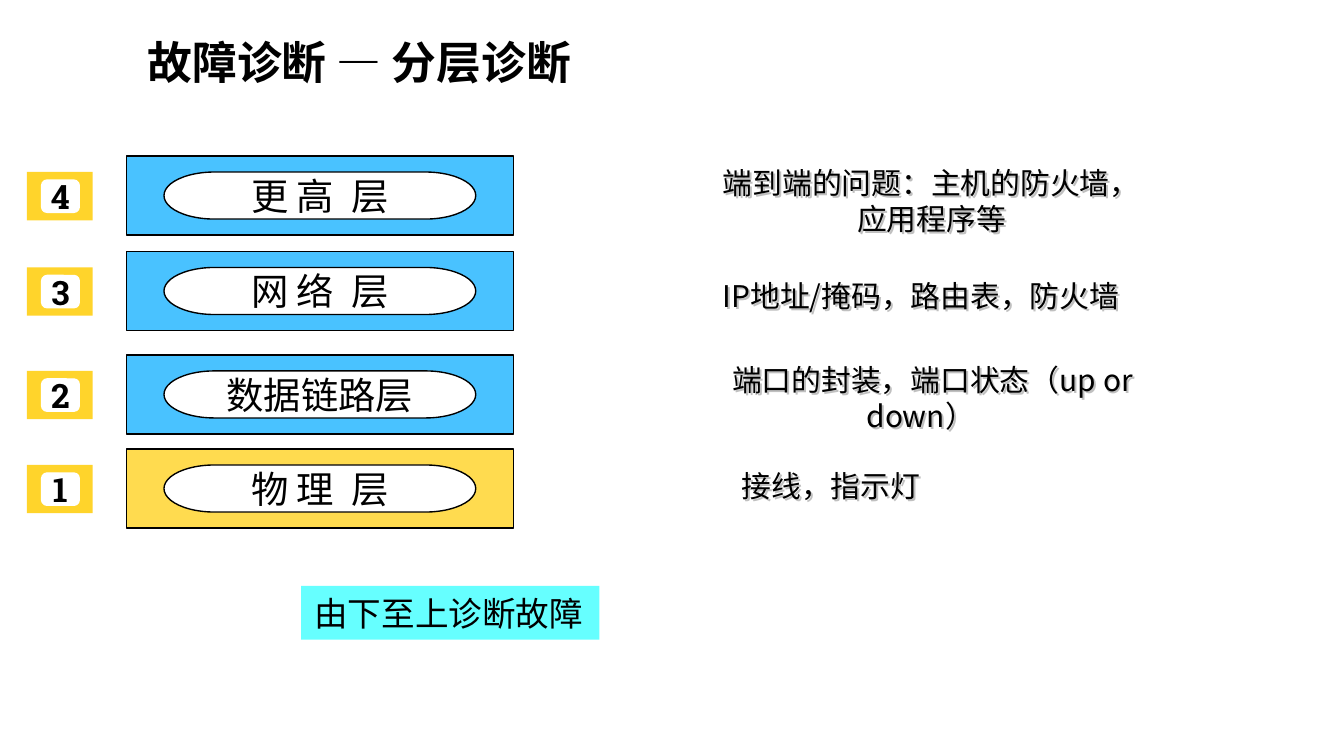
from dataclasses import dataclass
from typing import Optional

from lxml import etree
from pptx import Presentation
from pptx.dml.color import RGBColor
from pptx.enum.shapes import MSO_SHAPE as SHAPE
from pptx.enum.text import MSO_ANCHOR as ANCHOR, MSO_AUTO_SIZE as FIT, PP_ALIGN as ALIGN
from pptx.oxml.ns import qn
from pptx.util import Inches, Pt

UNIT = 0.1  # grid of 100 columns; one column or row is a tenth of an inch
COLORS = {"black": "000000", "white": "FFFFFF", "gold": "FFCC00",
          "blue": "49C2FF", "cyan": "66FFFF", "shade": "C0C0C0"}
CJK, SERIF, SLAB = "Noto Sans CJK SC", "Times New Roman", "Roboto Slab"


@dataclass
class Box:
    col: float
    row: float
    cols: float
    rows: float

    def emu(self) -> list[int]:
        return [Inches(v * UNIT) for v in (self.col, self.row, self.cols, self.rows)]


@dataclass
class Style:
    size: int
    font: str = CJK
    bold: bool = False


@dataclass
class Layer:
    number: str
    name: str
    row: float
    color: str
    alpha: int
    note: str
    note_box: Box


LAYERS = [
    Layer("4", "更 高  层", 11.6, "blue", 100,
          "端到端的问题：主机的防火墙，应用程序等", Box(52.8, 13.4, 32.7, 3)),
    Layer("3", "网 络  层", 18.7, "blue", 100,
          "IP地址/掩码，路由表，防火墙", Box(52.8, 20.5, 32.7, 3)),
    Layer("2", "数据链路层", 26.4, "blue", 100,
          "端口的封装，端口状态（up or down）", Box(53.5, 28.1, 34.3, 3)),
    Layer("1", "物 理  层", 33.4, "gold", 69,
          "接线，指示灯", Box(54.2, 34.6, 36, 3)),
]
NUMBER, LABEL = Style(18, SLAB, bold=True), Style(20, SERIF)
NOTE, CAPTION, TITLE = Style(16), Style(18), Style(24, bold=True)


def rgb(name: str) -> RGBColor:
    return RGBColor.from_string(COLORS[name])


def add_shadow(sp) -> None:
    """Shade the text of an unfilled box."""
    effects = etree.SubElement(sp._element.spPr, qn("a:effectLst"))
    shadow = etree.SubElement(effects, qn("a:outerShdw"), dist="19050", dir="2700000")
    etree.SubElement(shadow, qn("a:srgbClr"), val=COLORS["shade"])


def write(sp, text: str, style: Style, align=ALIGN.LEFT,
          anchor=ANCHOR.MIDDLE, wrap: bool = True):
    tf = sp.text_frame
    tf.word_wrap, tf.vertical_anchor = wrap, anchor
    p = tf.paragraphs[0]
    p.alignment = align
    r = p.add_run()
    r.text = text
    r.font.size, r.font.bold = Pt(style.size), style.bold
    r.font.color.rgb = rgb("black")
    r.font.name = style.font
    etree.SubElement(r._r.get_or_add_rPr(), qn("a:ea"), typeface=CJK)
    return p


def add_shape(slide, kind, box: Box, fill: str, line: Optional[str] = None,
              alpha: int = 100):
    sp = slide.shapes.add_shape(kind, *box.emu())
    sp.shadow.inherit = False
    sp.fill.solid()
    sp.fill.fore_color.rgb = rgb(fill)
    if alpha < 100:
        color = sp._element.spPr.find(qn("a:solidFill"))[0]
        etree.SubElement(color, qn("a:alpha"), val=str(alpha * 1000))
    if line:
        sp.line.color.rgb = rgb(line)
        sp.line.width = Pt(0.75)
    else:
        sp.line.fill.background()
    return sp


def add_layer(slide, layer: Layer) -> None:
    # Number tile
    add_shape(slide, SHAPE.RECTANGLE, Box(2, layer.row + 1.2, 4.9, 3.6), "gold", alpha=83)
    chip = add_shape(slide, SHAPE.FLOWCHART_ALTERNATE_PROCESS,
                     Box(3.1, layer.row + 1.8, 2.8, 2.4), "white", "white")
    write(chip, layer.number, NUMBER, ALIGN.CENTER, wrap=False)
    # Layer bar with its name
    add_shape(slide, SHAPE.RECTANGLE, Box(9.4, layer.row, 28.8, 5.9),
              layer.color, "black", layer.alpha)
    pill = add_shape(slide, SHAPE.FLOWCHART_TERMINATOR,
                     Box(12.2, layer.row + 1.2, 23.2, 3.5), "white", "black")
    write(pill, layer.name, LABEL, ALIGN.CENTER, wrap=False)


def add_note(slide, layer: Layer) -> None:
    sp = slide.shapes.add_textbox(*layer.note_box.emu())
    add_shadow(sp)
    pPr = write(sp, layer.note, NOTE)._p.get_or_add_pPr()
    pPr.set("marL", str(Inches(1)))
    pPr.set("indent", str(-Inches(1)))


def main() -> None:
    prs = Presentation()
    prs.slide_width = Inches(10)
    prs.slide_height = prs.slide_width * 9 // 16
    slide = prs.slides.add_slide(prs.slide_layouts[6])

    # Layer stack, then what to check on each layer
    for layer in LAYERS:
        add_layer(slide, layer)
    for layer in LAYERS:
        add_note(slide, layer)

    # Direction of diagnosis
    caption = add_shape(slide, SHAPE.RECTANGLE, Box(22.4, 43.6, 22.2, 4), "cyan")
    write(caption, "由下至上诊断故障", CAPTION, anchor=ANCHOR.TOP, wrap=False)
    caption.text_frame.auto_size = FIT.SHAPE_TO_FIT_TEXT

    # Title
    title = slide.shapes.add_textbox(*Box(10, 2.1, 53.3, 5).emu())
    write(title, "故障诊断 — 分层诊断", TITLE)
    title.text_frame.auto_size = FIT.SHAPE_TO_FIT_TEXT

    prs.save("out.pptx")


if __name__ == "__main__":
    main()
